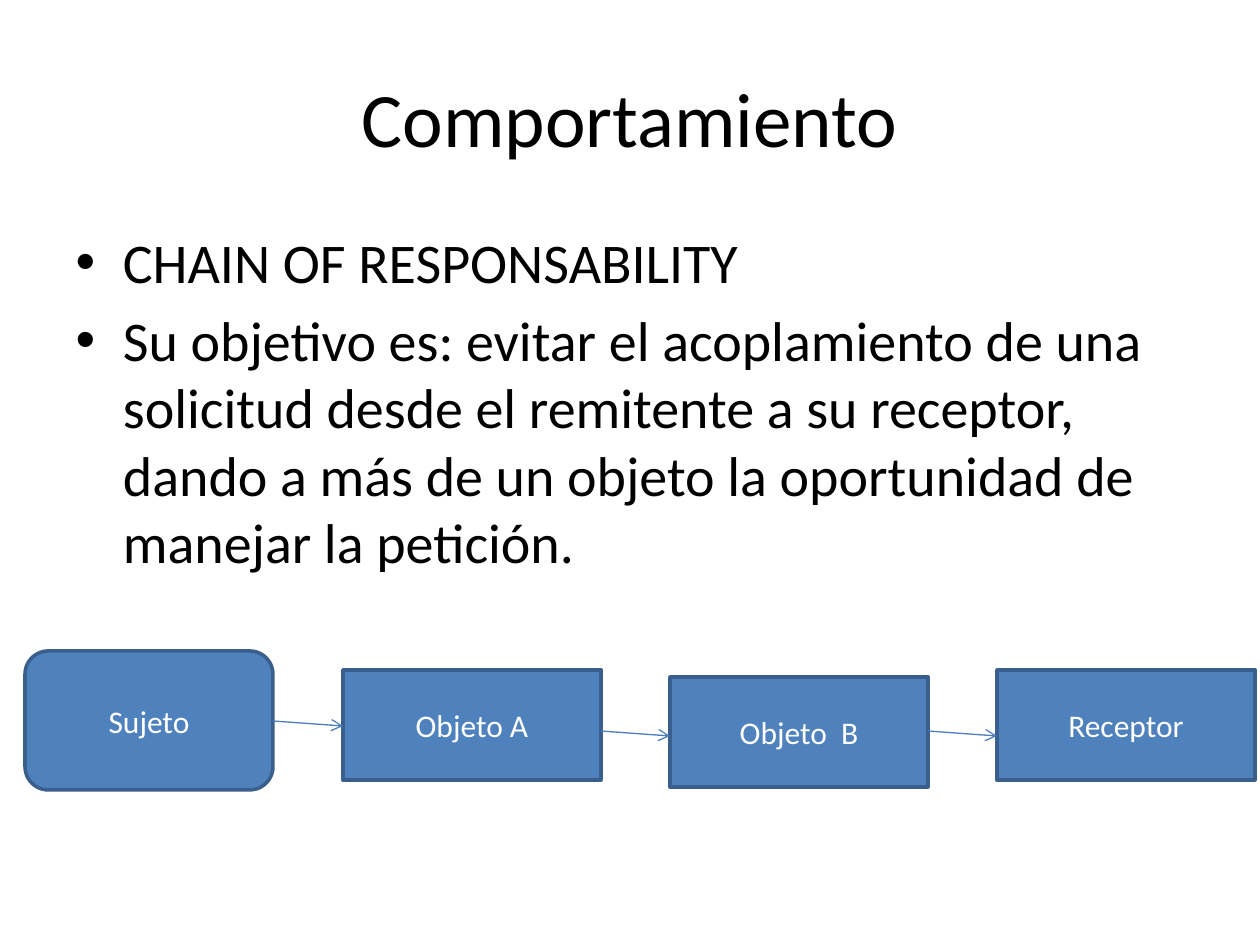
from lxml.etree import SubElement
from pptx import Presentation
from pptx.dml.color import RGBColor
from pptx.enum.shapes import MSO_CONNECTOR, MSO_SHAPE
from pptx.enum.text import MSO_ANCHOR, PP_ALIGN
from pptx.oxml.ns import qn
from pptx.util import Pt

EMU_PER_PIXEL = 914400 / 126
COLORS = {
    "background": "FFFFFF",
    "text": "000000",
    "node": "4F81BD",
    "node_border": "3A5F8C",
    "node_text": "FFFFFF",
    "arrow": "4B7EBC",
}
TITLE = "Comportamiento"
BULLETS = [
    "CHAIN OF RESPONSABILITY",
    "Su objetivo es: evitar el acoplamiento de una solicitud desde el remitente "
    "a su receptor, dando a más de un objeto la oportunidad de manejar la petición.",
]
OBJECTS = [("Objeto A", 19), ("Objeto  B", 26), ("Receptor", 19)]


def pixels(value):
    """Turn picture pixels into EMU."""
    return round(value * EMU_PER_PIXEL)


def color(name):
    """Return a named colour."""
    return RGBColor.from_string(COLORS[name])


def place(shape, box):
    """Move a shape to a box given in pixels."""
    shape.left, shape.top, shape.width, shape.height = map(pixels, box)


def add_text(paragraph, text, size, color_name):
    """Add one formatted run to a paragraph."""
    run = paragraph.add_run()
    run.text = text
    run.font.name = "Calibri"
    run.font.size = Pt(size)
    run.font.color.rgb = color(color_name)


def fill_title(shape, box):
    """Place the title and write its text."""
    place(shape, box)
    shape.text_frame.vertical_anchor = MSO_ANCHOR.MIDDLE
    paragraph = shape.text_frame.paragraphs[0]
    paragraph.alignment = PP_ALIGN.CENTER
    add_text(paragraph, TITLE, 44, "text")


def fill_body(shape, box):
    """Place the body and write its bulleted list."""
    place(shape, box)
    frame = shape.text_frame
    for index, text in enumerate(BULLETS):
        paragraph = frame.add_paragraph() if index else frame.paragraphs[0]
        add_text(paragraph, text, 32, "text")


def add_node(slide, kind, box, label):
    """Draw one labelled node of the chain."""
    node = slide.shapes.add_shape(kind, *map(pixels, box))
    node.shadow.inherit = False
    node.fill.solid()
    node.fill.fore_color.rgb = color("node")
    node.line.color.rgb = color("node_border")
    node.line.width = Pt(2)
    node.text_frame.word_wrap = True
    node.text_frame.vertical_anchor = MSO_ANCHOR.MIDDLE
    paragraph = node.text_frame.paragraphs[0]
    paragraph.alignment = PP_ALIGN.CENTER
    add_text(paragraph, label, 18, "node_text")


def add_arrow(slide, start, end):
    """Draw a thin arrow between two points in pixels."""
    arrow = slide.shapes.add_connector(
        MSO_CONNECTOR.STRAIGHT, *map(pixels, (*start, *end)))
    arrow.line.color.rgb = color("arrow")
    arrow.line.width = Pt(0.75)
    SubElement(arrow.line._get_or_add_ln(), qn("a:tailEnd"), type="arrow")
    SubElement(arrow._element.spPr, qn("a:effectLst"))


def add_chain(slide, box):
    """Draw the subject, the objects and their arrows inside a box."""
    left, top, width, height = box
    subject_width, object_width, object_height, step = 248, 258, 110, 327
    first = left + width - object_width - step * (len(OBJECTS) - 1)
    add_node(slide, MSO_SHAPE.ROUNDED_RECTANGLE,
             (left, top, subject_width, height), "Sujeto")
    for index, (label, offset) in enumerate(OBJECTS):
        add_node(slide, MSO_SHAPE.RECTANGLE,
                 (first + index * step, top + offset, object_width, object_height), label)
    for index in range(len(OBJECTS)):
        end_x = first + index * step
        start_x = end_x - step + object_width if index else left + subject_width
        start_y = top + (80 if index else 70)
        add_arrow(slide, (start_x, start_y), (end_x, start_y + 5))


def build_slide(presentation):
    """Build the slide from its three regions."""
    slide = presentation.slides.add_slide(presentation.slide_layouts[1])
    slide.background.fill.solid()
    slide.background.fill.fore_color.rgb = color("background")
    fill_title(slide.shapes.title, (63, 38, 1134, 158))
    fill_body(slide.placeholders[1], (63, 221, 1134, 401))
    add_chain(slide, (25, 651, 1230, 139))


presentation = Presentation()
presentation.slide_width = pixels(1260)
presentation.slide_height = pixels(945)
build_slide(presentation)
presentation.save("out.pptx")
